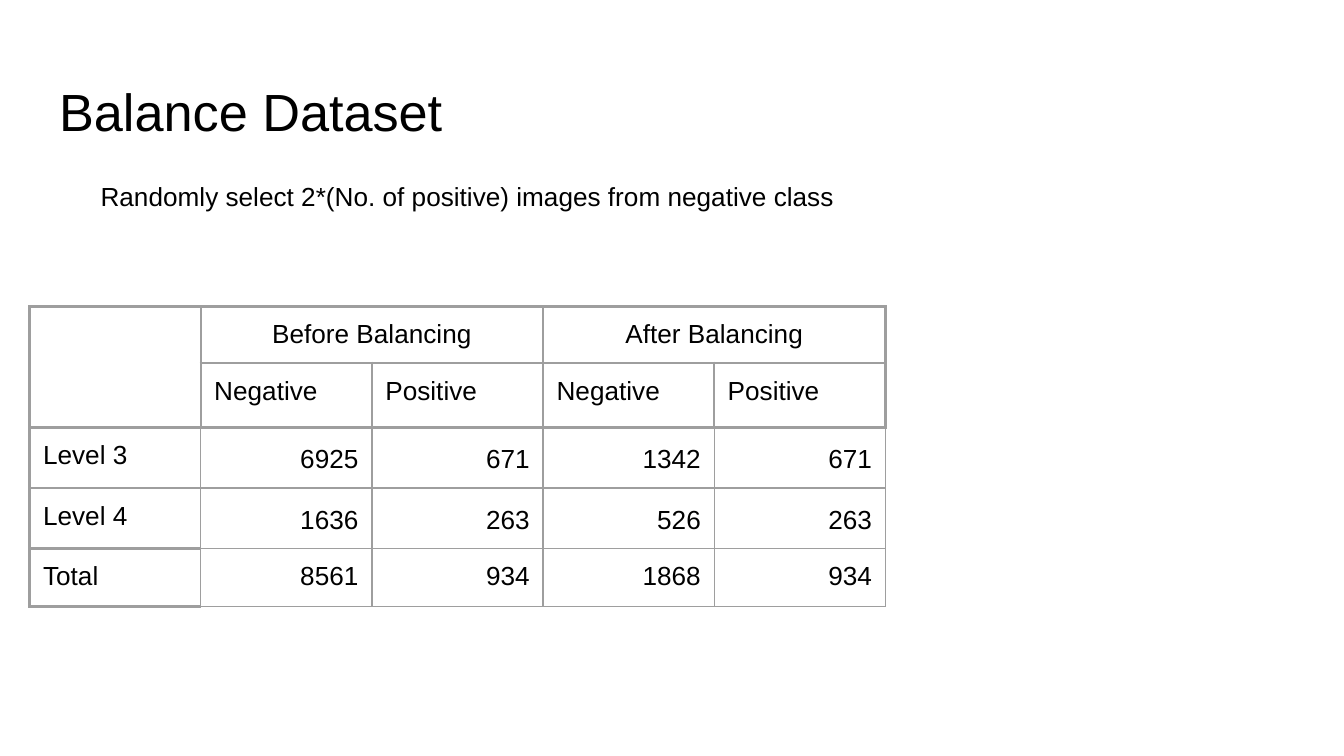
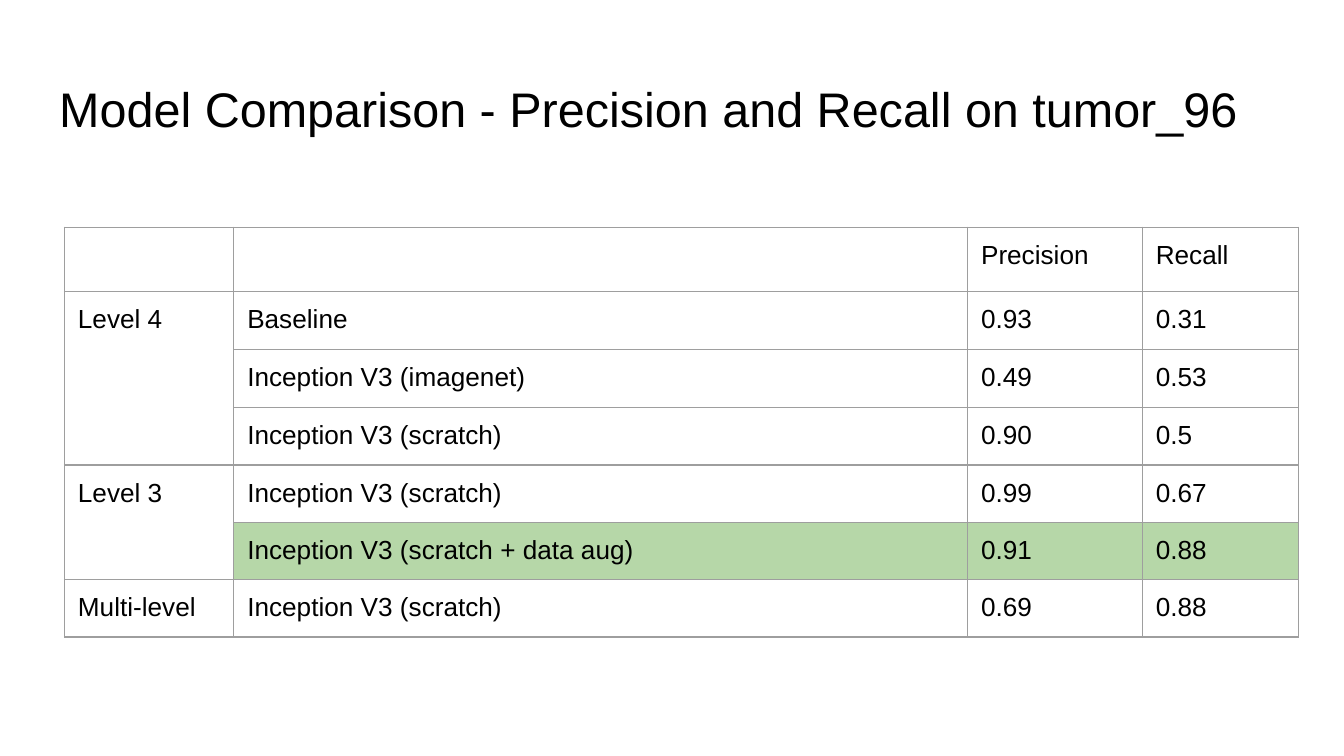
from dataclasses import dataclass, field
from typing import Callable

from lxml import etree
from pptx import Presentation
from pptx import util as u
from pptx.dml import color as colors
from pptx.enum import text
from pptx.oxml import ns

# Shared look
FONT = "Arial"
BLACK = "000000"
RULE = "9E9E9E"
HIGHLIGHT = "B6D7A8"
THIN, THICK = 0.75, 1.5
BODY_SIZE = 14
INSET = u.Inches(0.1)
SLIDE_WIDTH = u.Inches(10)
SLIDE_HEIGHT = SLIDE_WIDTH * 9 // 16
LEFT, CENTER, RIGHT = text.PP_ALIGN.LEFT, text.PP_ALIGN.CENTER, text.PP_ALIGN.RIGHT


@dataclass
class CellStyle:
    align: text.PP_ALIGN = LEFT
    spacing: float = 1.0
    fill: str | None = None
    # Line widths: left, right, top, bottom
    borders: tuple[float, ...] = (THIN,) * 4


@dataclass
class Grid:
    left: float
    top: float
    columns: list[float]
    rows: list[float]
    values: list[list[str]]
    # Merged areas: first row, first column, last row, last column
    merges: list[tuple[int, int, int, int]] = field(default_factory=list)


def color(value: str) -> colors.RGBColor:
    return colors.RGBColor.from_string(value)


# Text
def write(frame, words: str, size: int, align=LEFT, spacing: float = 1.0) -> None:
    para = frame.paragraphs[0]
    para.alignment = align
    para.line_spacing = spacing
    if not words:
        etree.SubElement(para._p, ns.qn("a:endParaRPr"), sz=str(size * 100))
        return
    span = para.add_run()
    span.text = words
    span.font.name = FONT
    span.font.size = u.Pt(size)
    span.font.color.rgb = color(BLACK)


def format_frame(frame) -> None:
    frame.word_wrap = True
    frame.auto_size = text.MSO_AUTO_SIZE.NONE
    frame.vertical_anchor = text.MSO_ANCHOR.TOP
    frame.margin_left = frame.margin_right = INSET
    frame.margin_top = frame.margin_bottom = INSET


def add_page(deck, title: str, size: int):
    page = deck.slides.add_slide(deck.slide_layouts[5])
    box = page.shapes.title
    box.left, box.top = u.Inches(0.34), u.Inches(0.49)
    box.width, box.height = u.Inches(9.32), u.Inches(0.63)
    format_frame(box.text_frame)
    write(box.text_frame, title, size)
    return page


# Tables
def format_cell(cell, words: str, style: CellStyle) -> None:
    cell.margin_left = cell.margin_right = INSET
    cell.margin_top = cell.margin_bottom = INSET
    write(cell.text_frame, words, BODY_SIZE, style.align, style.spacing)
    properties = cell._tc.get_or_add_tcPr()
    for side, width in zip("LRTB", style.borders):
        line = etree.SubElement(properties, ns.qn(f"a:ln{side}"), w=str(u.Pt(width)))
        solid = etree.SubElement(line, ns.qn("a:solidFill"))
        etree.SubElement(solid, ns.qn("a:srgbClr"), val=RULE)
    if style.fill:
        cell.fill.solid()
        cell.fill.fore_color.rgb = color(style.fill)
    else:
        cell.fill.background()


def add_grid(page, grid: Grid, style_of: Callable[[int, int], CellStyle]) -> None:
    table = page.shapes.add_table(
        len(grid.rows), len(grid.columns), u.Inches(grid.left), u.Inches(grid.top),
        u.Inches(sum(grid.columns)), u.Inches(sum(grid.rows))).table
    table.first_row = table.horz_banding = False
    for column, width in zip(table.columns, grid.columns):
        column.width = u.Inches(width)
    for row, height in zip(table.rows, grid.rows):
        row.height = u.Inches(height)
    for r, values in enumerate(grid.values):
        for c, words in enumerate(values):
            format_cell(table.cell(r, c), words, style_of(r, c))
    for top, left, bottom, right in grid.merges:
        table.cell(top, left).merge(table.cell(bottom, right))


def balance_style(r: int, c: int) -> CellStyle:
    if r < 2:
        return CellStyle(CENTER if r == 0 else LEFT, borders=(THICK,) * 4)
    if c == 0:
        return CellStyle(borders=(THICK, THIN, THICK, THICK))
    return CellStyle(RIGHT, 1.0 if r == 4 else 1.15,
                     borders=(THIN, THIN, THICK if r == 2 else THIN, THIN))


def comparison_style(r: int, c: int) -> CellStyle:
    return CellStyle(fill=HIGHLIGHT if r == 5 and c > 0 else None)


# Slides
def build_balance(deck) -> None:
    page = add_page(deck, "Balance Dataset", 28)
    box = page.shapes.add_textbox(
        u.Inches(0.65), u.Inches(1.24), u.Inches(5.84), u.Inches(0.82))
    format_frame(box.text_frame)
    write(box.text_frame,
          "Randomly select 2*(No. of positive) images from negative class", BODY_SIZE)
    add_grid(page, Grid(
        0.22, 2.28, [6.37 / 5] * 5, [0.42, 0.48, 0.45, 0.45, 0.43],
        [["", "Before Balancing", "", "After Balancing", ""],
         ["", "Negative", "Positive", "Negative", "Positive"],
         ["Level 3", "6925", "671", "1342", "671"],
         ["Level 4", "1636", "263", "526", "263"],
         ["Total", "8561", "934", "1868", "934"]],
        [(0, 0, 1, 0), (0, 1, 0, 2), (0, 3, 0, 4)]), balance_style)


def build_comparison(deck) -> None:
    page = add_page(deck, "Model Comparison - Precision and Recall on tumor_96", 26)
    add_grid(page, Grid(
        0.48, 1.69, [1.26, 5.46, 1.3, 1.16], [0.48] + [0.43] * 4 + [0.42, 0.43],
        [["", "", "Precision", "Recall"],
         ["Level 4", "Baseline", "0.93", "0.31"],
         ["", "Inception V3 (imagenet)", "0.49", "0.53"],
         ["", "Inception V3 (scratch)", "0.90", "0.5"],
         ["Level 3", "Inception V3 (scratch)", "0.99", "0.67"],
         ["", "Inception V3 (scratch + data aug)", "0.91", "0.88"],
         ["Multi-level", "Inception V3 (scratch)", "0.69", "0.88"]],
        [(1, 0, 3, 0), (4, 0, 5, 0)]), comparison_style)


def main() -> None:
    deck = Presentation()
    deck.slide_width, deck.slide_height = SLIDE_WIDTH, SLIDE_HEIGHT
    build_balance(deck)
    build_comparison(deck)
    deck.save("out.pptx")


if __name__ == "__main__":
    main()
